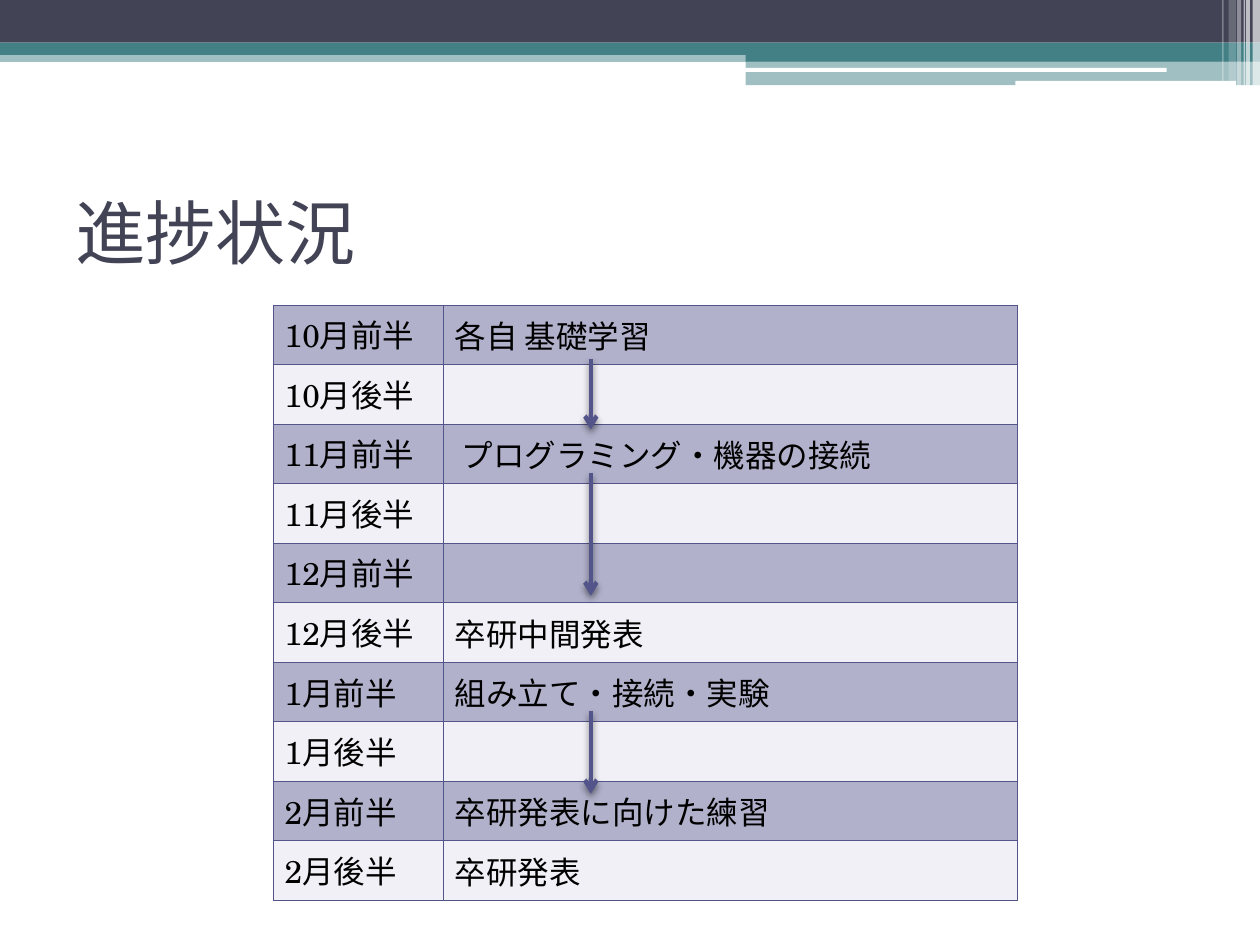
from lxml.etree import SubElement
from pptx import Presentation
from pptx.dml.color import RGBColor
from pptx.enum.shapes import MSO_CONNECTOR, MSO_SHAPE
from pptx.enum.text import MSO_ANCHOR, PP_ALIGN
from pptx.oxml.ns import qn
from pptx.util import Cm, Pt

COLORS = {
    "navy": "424456",
    "teal": "438086",
    "white": "FFFFFF",
    "violet": "53548A",
    "dark_row": "B1B1CB",
    "light_row": "F0F0F6",
    "black": "000000",
}
SERIF = "TeX Gyre Schola"
SANS = "Arial"
TITLE_FONT = {"name": "Karla", "size": Pt(40)}
CELL_FORMAT = {
    "vertical_anchor": MSO_ANCHOR.MIDDLE,
    "margin_left": Cm(0.23),
    "margin_right": Cm(0.23),
    "margin_top": 0,
    "margin_bottom": 0,
}

BARS = [
    (0, 1.02, 25.4, 0.23, "teal", 50),
    (0, 0, 25.4, 0.86, "navy", 100),
    (0, 0.86, 25.4, 0.25, "teal", 100),
    (15.03, 0.99, 10.37, 0.25, "teal", 100),
    (15.03, 1.22, 10.37, 0.5, "teal", 50),
]
ROUNDED_BARS = [
    (15.01, 1.37, 8.51, 0.08, "white", 100),
    (20.47, 1.63, 4.45, 0.1, "white", 100),
]
STRIPES = [
    (25.25, 0.15, 1.73, 65),
    (25.12, 0.08, 1.73, 65),
    (25.07, 0.03, 1.73, 60),
    (24.94, 0.08, 1.73, 40),
    (24.77, 0.15, 1.63, 20),
    (24.64, 0.03, 1.63, 30),
]
SCHEDULE = [
    ("10月前半", [("各自 基礎学習", SANS)]),
    ("10月後半", []),
    ("11月前半", [(" プログラミング・", SERIF), ("機器の接続", SANS)]),
    ("11月後半", []),
    ("12月前半", []),
    ("12月後半", [("卒研中間発表", SERIF)]),
    ("1月前半", [("組み立て・接続・実験", SERIF)]),
    ("1月後半", []),
    ("2月前半", [("卒研発表に向けた練習", SERIF)]),
    ("2月後半", [("卒研発表", SERIF)]),
]
COLUMN_WIDTHS = [3.43, 11.57]
ROW_HEIGHT = 1.2
ARROW_X = 11.91
ARROW_SPANS = [(9.53, 12.01), (14.33, 16), (7.24, 8.66)]


def color(name):
    return RGBColor.from_string(COLORS[name])


def apply_format(target, values):
    for name, value in values.items():
        setattr(target, name, value)


def paint(fill, name):
    fill.solid()
    fill.fore_color.rgb = color(name)


def add_bar(page, left, top, width, height, name, opacity, kind=MSO_SHAPE.RECTANGLE):
    bar = page.shapes.add_shape(kind, Cm(left), Cm(top), Cm(width), Cm(height))
    bar.shadow.inherit = False
    bar.line.fill.background()
    paint(bar.fill, name)
    if opacity < 100:
        tone = bar.fill._xPr.find(qn("a:solidFill"))[0]
        SubElement(tone, qn("a:alpha"), val=str(opacity * 1000))


def add_header(page):
    for bar in BARS:
        add_bar(page, *bar)
    for bar in ROUNDED_BARS:
        add_bar(page, *bar, kind=MSO_SHAPE.ROUNDED_RECTANGLE)
    for left, width, height, opacity in STRIPES:
        add_bar(page, left, 0, width, height, "white", opacity)


def add_span(para, text, font, name):
    span = para.add_run()
    span.text = text
    apply_format(span.font, font)
    span.font.color.rgb = color(name)


def add_title(page, text):
    box = page.shapes.add_textbox(Cm(1.27), Cm(3.18), Cm(22.86), Cm(2.97))
    frame = box.text_frame
    apply_format(frame, {"word_wrap": True, "vertical_anchor": MSO_ANCHOR.MIDDLE})
    add_span(frame.paragraphs[0], text, TITLE_FONT, "navy")


def add_borders(cell):
    properties = cell._tc.get_or_add_tcPr()
    for position, side in enumerate(("lnL", "lnR", "lnT", "lnB")):
        edge = SubElement(properties, qn("a:" + side), w=str(Pt(0.75)))
        fill = SubElement(edge, qn("a:solidFill"))
        SubElement(fill, qn("a:srgbClr"), val=COLORS["violet"])
        properties.insert(position, edge)


def fill_cell(cell, spans, shade):
    apply_format(cell, CELL_FORMAT)
    paint(cell.fill, shade)
    add_borders(cell)
    para = cell.text_frame.paragraphs[0]
    para.alignment = PP_ALIGN.JUSTIFY
    for text, typeface in spans:
        add_span(para, text, {"name": typeface, "size": Pt(18)}, "black")


def add_schedule(page):
    table = page.shapes.add_table(
        len(SCHEDULE), len(COLUMN_WIDTHS), Cm(5.51), Cm(6.15),
        Cm(sum(COLUMN_WIDTHS)), Cm(ROW_HEIGHT * len(SCHEDULE)),
    ).table
    apply_format(table, {"first_row": False, "horz_banding": False})
    for column, width in zip(table.columns, COLUMN_WIDTHS):
        column.width = Cm(width)
    for index, (period, task) in enumerate(SCHEDULE):
        table.rows[index].height = Cm(ROW_HEIGHT)
        shade = "light_row" if index % 2 else "dark_row"
        fill_cell(table.cell(index, 0), [(period, SERIF)], shade)
        fill_cell(table.cell(index, 1), task, shade)


def add_arrow(page, top, bottom):
    arrow = page.shapes.add_connector(
        MSO_CONNECTOR.STRAIGHT, Cm(ARROW_X), Cm(top), Cm(ARROW_X), Cm(bottom)
    )
    arrow.line.width = Pt(2.5)
    arrow.line.color.rgb = color("violet")
    SubElement(arrow.line._get_or_add_ln(), qn("a:tailEnd"), type="arrow")
    effects = SubElement(arrow._element.spPr, qn("a:effectLst"))
    shadow = SubElement(
        effects, qn("a:outerShdw"), blurRad=str(Pt(4)), dist=str(Pt(2)),
        dir="5400000", rotWithShape="0",
    )
    tone = SubElement(shadow, qn("a:srgbClr"), val=COLORS["black"])
    SubElement(tone, qn("a:alpha"), val="45000")


def main():
    deck = Presentation()
    apply_format(deck, {"slide_width": Cm(25.4), "slide_height": Cm(19.05)})
    page = deck.slides.add_slide(deck.slide_layouts[6])
    add_header(page)
    add_title(page, "進捗状況")
    add_schedule(page)
    for top, bottom in ARROW_SPANS:
        add_arrow(page, top, bottom)
    deck.save("out.pptx")


if __name__ == "__main__":
    main()
